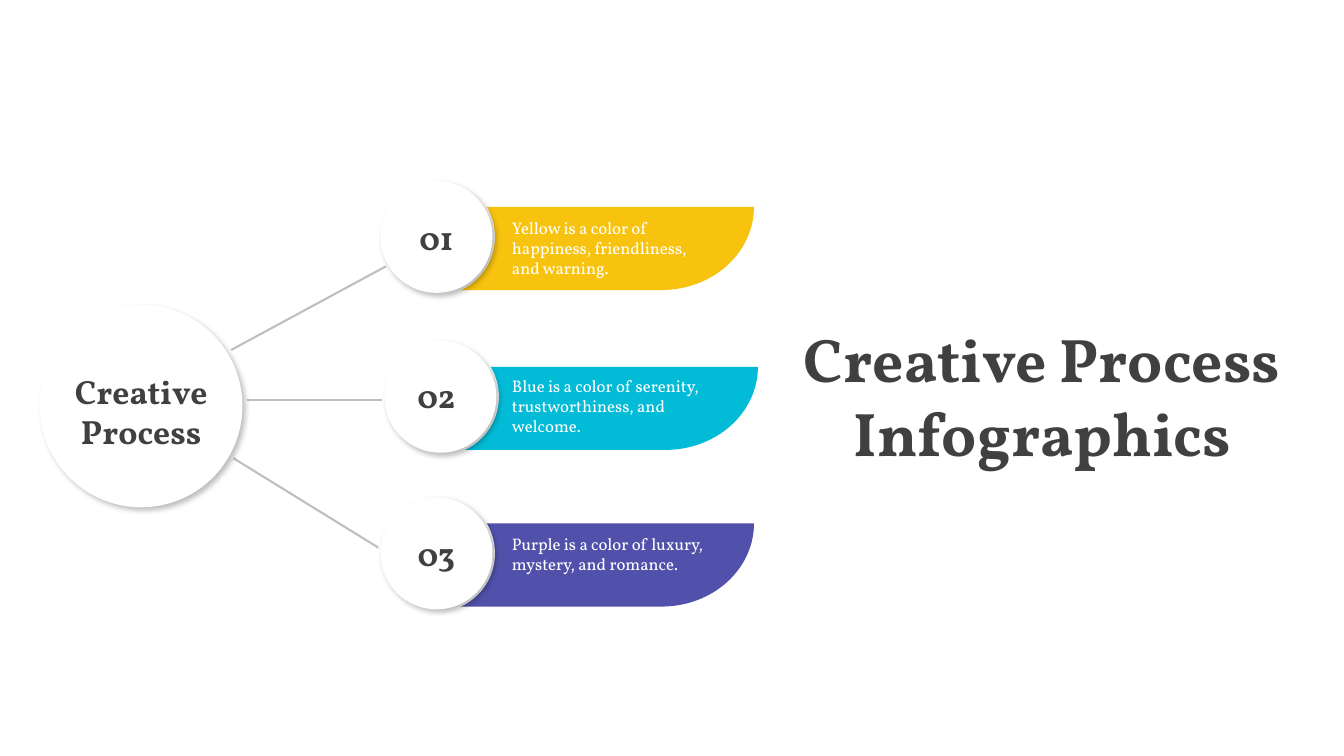
import dataclasses
import math

import pptx
import pptx.dml.color
import pptx.enum.shapes
import pptx.enum.text
import pptx.oxml
import pptx.oxml.ns
import pptx.util

Pt = pptx.util.Pt
ALIGN = pptx.enum.text.PP_ALIGN
FONT = "Vollkorn"
COLORS = {
    "white": "FFFFFF",
    "ink": "404040",
    "line": "BFBFBF",
    "yellow": "F7C30F",
    "blue": "02BBD6",
    "purple": "5151AB",
}
BANNER_WIDTH, BANNER_HEIGHT, CURVE_WIDTH = 229.7, 59.4, 66
CURVE_STEPS = 32
STEP_PITCH = 113
NUMBER_TOP, CAPTION_TOP = 151.2, 151.9


@dataclasses.dataclass(frozen=True)
class Disc:
    x: float
    y: float
    ring: float
    face: float


@dataclasses.dataclass(frozen=True)
class Step:
    number: str
    caption: str
    color: str
    badge: Disc
    line: tuple[float, float, float, float]


HUB = Disc(100.8, 290, 151.2, 144.7)
STEPS = [
    Step("01", "Yellow is a color of happiness, friendliness, and warning.", "yellow",
         Disc(311.8, 169.2, 83.5, 80), (99.4, 285.5, 293.4, 180.7)),
    Step("02", "Blue is a color of serenity, trustworthiness, and welcome.", "blue",
         Disc(314.6, 283.4, 83.5, 80), (105.8, 285.8, 326.2, 285.8)),
    Step("03", "Purple is a color of luxury, mystery, and romance.", "purple",
         Disc(311.8, 395.3, 83.5, 80), (101.9, 287.3, 289.8, 403.2)),
]


def rgb(name: str) -> pptx.dml.color.RGBColor:
    return pptx.dml.color.RGBColor.from_string(COLORS[name])


def paint(shape, color: str) -> None:
    shape.shadow.inherit = False
    shape.fill.solid()
    shape.fill.fore_color.rgb = rgb(color)
    shape.line.fill.background()


def add_soft_shadow(shape) -> None:
    effects = shape._element.spPr.find(pptx.oxml.ns.qn("a:effectLst"))
    effects.append(pptx.oxml.parse_xml(
        f'<a:outerShdw {pptx.oxml.ns.nsdecls("a")} blurRad="{Pt(4)}" dist="{Pt(3)}" '
        'dir="2700000" algn="tl" rotWithShape="0"><a:srgbClr val="000000">'
        '<a:alpha val="25000"/></a:srgbClr></a:outerShdw>'))


def add_disc(page, disc: Disc) -> None:
    for size in (disc.ring, disc.face):
        circle = page.shapes.add_shape(
            pptx.enum.shapes.MSO_SHAPE.OVAL,
            Pt(disc.x - size / 2), Pt(disc.y - size / 2), Pt(size), Pt(size))
        paint(circle, "white")
    add_soft_shadow(circle)


def add_line(page, ends: tuple[float, float, float, float]) -> None:
    line = page.shapes.add_connector(
        pptx.enum.shapes.MSO_CONNECTOR.STRAIGHT, *(Pt(value) for value in ends))
    line.line.color.rgb = rgb("line")
    line.line.width = Pt(1.5)
    pptx.oxml.ns.qn("a:effectLst")
    line._element.spPr.append(pptx.oxml.parse_xml(
        f'<a:effectLst {pptx.oxml.ns.nsdecls("a")}/>'))


def add_banner(page, badge: Disc, color: str) -> None:
    """Draw a bar whose lower right corner is a quarter ellipse."""
    left, top = badge.x - 2.9, badge.y - 21.4
    right, bottom = left + BANNER_WIDTH, top + BANNER_HEIGHT
    angles = [math.pi / 2 * i / CURVE_STEPS for i in range(CURVE_STEPS + 1)]
    curve = [(right - CURVE_WIDTH * (1 - math.cos(angle)),
              top + BANNER_HEIGHT * math.sin(angle)) for angle in angles]
    outline = page.shapes.build_freeform(Pt(left), Pt(top))
    outline.add_line_segments([(Pt(x), Pt(y)) for x, y in curve + [(left, bottom)]])
    paint(outline.convert_to_shape(), color)


def write_text(box, text: str, *, at: tuple[float, float, float, float], size: float,
               color: str = "ink", bold: bool = True, align=ALIGN.CENTER) -> None:
    box.left, box.top, box.width, box.height = (Pt(value) for value in at)
    frame = box.text_frame
    frame.word_wrap = True
    frame.auto_size = pptx.enum.text.MSO_AUTO_SIZE.SHAPE_TO_FIT_TEXT
    frame.vertical_anchor = pptx.enum.text.MSO_ANCHOR.TOP
    para = frame.paragraphs[0]
    para.alignment = align
    span = para.add_run()
    span.text = text
    span.font.name = FONT
    span.font.size = Pt(size)
    span.font.bold = bold
    span.font.color.rgb = rgb(color)


def new_box(page):
    return page.shapes.add_textbox(0, 0, 0, 0)


def main() -> None:
    deck = pptx.Presentation()
    deck.slide_width, deck.slide_height = Pt(960), Pt(540)
    page = deck.slides.add_slide(deck.slide_layouts.get_by_name("Title Only"))

    # Title
    write_text(page.shapes.title, "Creative Process Infographics",
               at=(553, 225.4, 383, 113.8), size=44)

    # Lines from the hub, partly covered by the discs
    for step in STEPS:
        add_line(page, step.line)

    # Hub
    add_disc(page, HUB)
    write_text(new_box(page), "Creative Process", at=(41.8, 261.4, 118, 57.6), size=24)

    # Steps
    for index, step in enumerate(STEPS):
        shift = index * STEP_PITCH
        add_banner(page, step.badge, step.color)
        add_disc(page, step.badge)
        write_text(new_box(page), step.number,
                   at=(275, NUMBER_TOP + shift, 73.4, 36), size=24)
        write_text(new_box(page), step.caption,
                   at=(358.6, CAPTION_TOP + shift, 159, 51), size=12,
                   color="white", bold=False, align=ALIGN.LEFT)

    deck.save("out.pptx")


if __name__ == "__main__":
    main()
